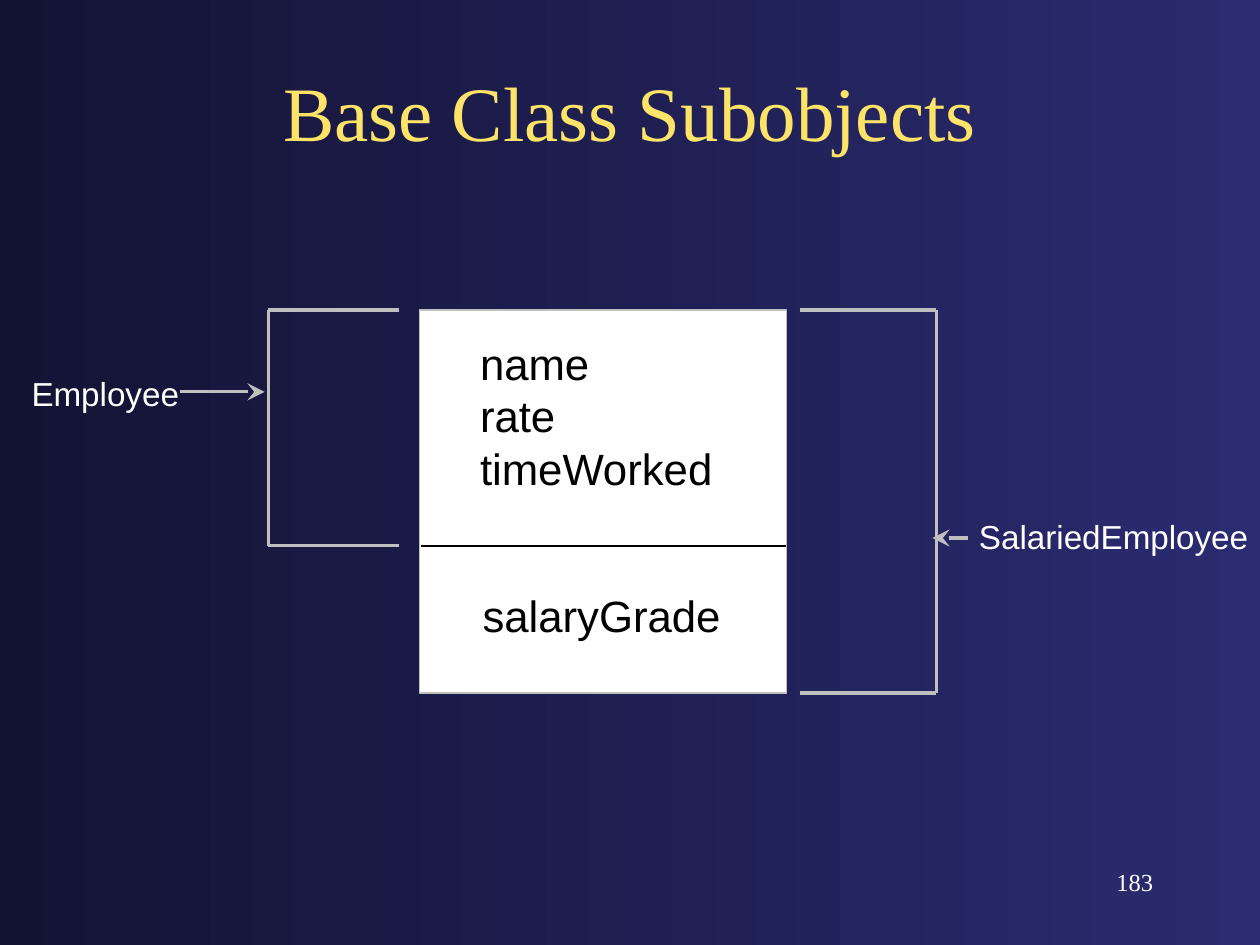
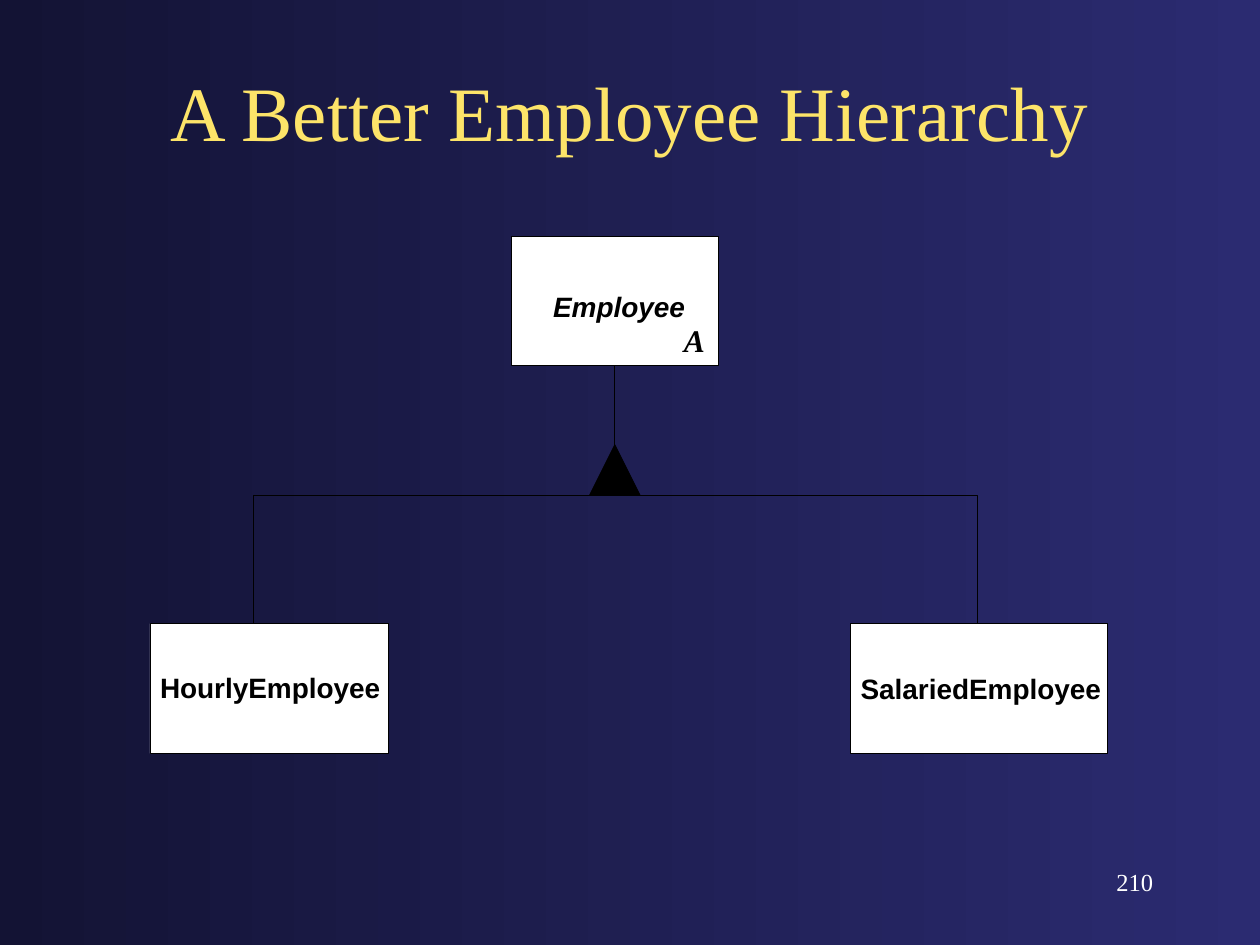
from dataclasses import dataclass

from lxml.etree import SubElement
from pptx import Presentation
from pptx.dml.color import RGBColor
from pptx.enum.shapes import MSO_CONNECTOR, MSO_SHAPE
from pptx.enum.text import MSO_ANCHOR, MSO_AUTO_SIZE, PP_ALIGN
from pptx.oxml.ns import qn
from pptx.util import Inches, Pt

COLORS = {"dark": "131334", "navy": "2B2B71", "gold": "FDE469",
          "white": "FFFFFF", "black": "000000", "gray": "BFBFBF"}
SANS, SERIF = "Arial", "Times New Roman"


@dataclass
class Label:
    text: str
    left: float
    top: float
    width: float
    height: float
    size: int
    color: str = "black"
    font: str = SANS
    bold: bool = False
    italic: bool = False
    align: PP_ALIGN = PP_ALIGN.LEFT
    padded: bool = False


@dataclass
class Box:
    left: float
    top: float
    width: float
    height: float
    fill: str = "white"
    edge: str = "black"
    weight: float = 0.5
    kind: MSO_SHAPE = MSO_SHAPE.RECTANGLE


@dataclass
class Line:
    x1: float
    y1: float
    x2: float
    y2: float
    color: str = "gray"
    weight: float = 1.87
    arrow: bool = False


def rgb(name: str) -> RGBColor:
    return RGBColor.from_string(COLORS[name])


def style_text(frame, item: Label) -> None:
    """Fill a text frame with one paragraph per line of the label."""
    frame.text = item.text
    for para in frame.paragraphs:
        para.alignment = item.align
        font = para.font
        font.name, font.size = item.font, Pt(item.size)
        font.bold, font.italic = item.bold, item.italic
        font.color.rgb = rgb(item.color)


def place(shape, item: Label) -> None:
    shape.left, shape.top = Inches(item.left), Inches(item.top)
    shape.width, shape.height = Inches(item.width), Inches(item.height)


def draw_label(slide, item: Label) -> None:
    shape = slide.shapes.add_textbox(0, 0, 0, 0)
    place(shape, item)
    frame = shape.text_frame
    frame.word_wrap = item.padded
    if not item.padded:
        frame.auto_size = MSO_AUTO_SIZE.SHAPE_TO_FIT_TEXT
        frame.margin_left = frame.margin_right = 0
        frame.margin_top = frame.margin_bottom = 0
    style_text(frame, item)


def draw_box(slide, box: Box):
    shape = slide.shapes.add_shape(
        box.kind, Inches(box.left), Inches(box.top),
        Inches(box.width), Inches(box.height))
    shape.shadow.inherit = False
    shape.fill.solid()
    shape.fill.fore_color.rgb = rgb(box.fill)
    shape.line.color.rgb = rgb(box.edge)
    shape.line.width = Pt(box.weight)
    return shape


def draw_line(slide, line: Line):
    link = slide.shapes.add_connector(
        MSO_CONNECTOR.STRAIGHT, Inches(line.x1), Inches(line.y1),
        Inches(line.x2), Inches(line.y2))
    link.line.color.rgb = rgb(line.color)
    link.line.width = Pt(line.weight)
    if line.arrow:
        SubElement(link.line._get_or_add_ln(), qn("a:tailEnd"),
                   type="stealth", w="lg", len="lg")
    SubElement(link._element.spPr, qn("a:effectLst"))
    return link


def draw_branch(slide, start: float, end: float, top: float, base: float) -> None:
    """Draw an elbow that runs sideways, then down to a subclass."""
    path = slide.shapes.build_freeform(Inches(start), Inches(top))
    path.add_line_segments(
        [(Inches(end), Inches(top)), (Inches(end), Inches(base))], close=False)
    shape = path.convert_to_shape()
    shape.shadow.inherit = False
    shape.fill.background()
    shape.line.color.rgb = rgb("black")
    shape.line.width = Pt(0.5)


def draw_bracket(slide, tip: float, spine: float, top: float, base: float) -> None:
    for line in (Line(tip, top, spine, top), Line(tip, base, spine, base),
                 Line(spine, top, spine, base)):
        draw_line(slide, line)


def paint_master(deck) -> None:
    fill = deck.slide_master.background.fill
    fill.gradient()
    fill.gradient_angle = 180
    for stop, name in zip(fill.gradient_stops, ("navy", "dark")):
        stop.color.rgb = rgb(name)


def new_slide(deck, title: str, number: str):
    slide = deck.slides.add_slide(deck.slide_layouts[5])
    head = Label(title, 0.75, 0.25, 8.5, 1.25, 44, "gold", SERIF,
                 align=PP_ALIGN.CENTER)
    place(slide.shapes.title, head)
    style_text(slide.shapes.title.text_frame, head)
    slide.shapes.title.text_frame.vertical_anchor = MSO_ANCHOR.MIDDLE
    draw_label(slide, Label(number, 7.17, 6.83, 2.08, 0.5, 14, "white", SERIF,
                            align=PP_ALIGN.RIGHT, padded=True))
    return slide


def build_parts(deck) -> None:
    slide = new_slide(deck, "Base Class Subobjects", "183")
    top, split, base = 2.46, 4.33, 5.5
    draw_box(slide, Box(3.33, top, 2.91, base - top, edge="gray", weight=0))
    draw_line(slide, Line(3.34, split, 6.24, split, "black", 1.13))
    draw_bracket(slide, 3.17, 2.13, top, split)
    draw_bracket(slide, 6.35, 7.43, top, base)
    draw_line(slide, Line(1.43, 3.11, 2.1, 3.11, arrow=True))
    draw_line(slide, Line(7.68, 4.27, 7.4, 4.27, arrow=True))
    for item in (
        Label("name\nrate\ntimeWorked", 3.81, 2.67, 1.85, 1.25, 25),
        Label("salaryGrade", 3.83, 4.67, 1.89, 0.42, 25),
        Label("Employee", 0.25, 2.96, 1.18, 0.32, 19, "white"),
        Label("SalariedEmployee", 7.77, 4.1, 2.14, 0.32, 19, "white"),
    ):
        draw_label(slide, item)


def build_tree(deck) -> None:
    slide = new_slide(deck, "A Better Employee Hierarchy", "210")
    mid, bar, low = 4.88, 3.93, 4.95
    parent = draw_box(slide, Box(4.06, 1.88, 1.64, 1.02))
    for left, width in ((1.19, 1.89), (6.75, 2.04)):
        draw_box(slide, Box(left, low, width, 1.03))
    mark = draw_box(slide, Box(4.68, 3.53, 0.4, 0.4, fill="black",
                               kind=MSO_SHAPE.ISOSCELES_TRIANGLE))
    stem = draw_line(slide, Line(mid, 2.9, mid, 3.53, "black", 0.5))
    stem.begin_connect(parent, 2)
    stem.end_connect(mark, 0)
    for end in (2.01, 7.76):
        draw_branch(slide, mid, end, bar, low)
    for item in (
        Label("Employee", 4.39, 2.3, 1.05, 0.27, 16, bold=True, italic=True),
        Label("HourlyEmployee", 1.27, 5.32, 1.75, 0.27, 16, bold=True),
        Label("SalariedEmployee", 6.83, 5.33, 1.91, 0.27, 16, bold=True),
        Label("A", 5.33, 2.5, 0.33, 0.4, 18, font=SERIF, bold=True,
              italic=True, padded=True),
    ):
        draw_label(slide, item)


def main() -> None:
    deck = Presentation()
    deck.slide_width, deck.slide_height = Inches(10), Inches(7.5)
    paint_master(deck)
    build_parts(deck)
    build_tree(deck)
    deck.save("out.pptx")


if __name__ == "__main__":
    main()
